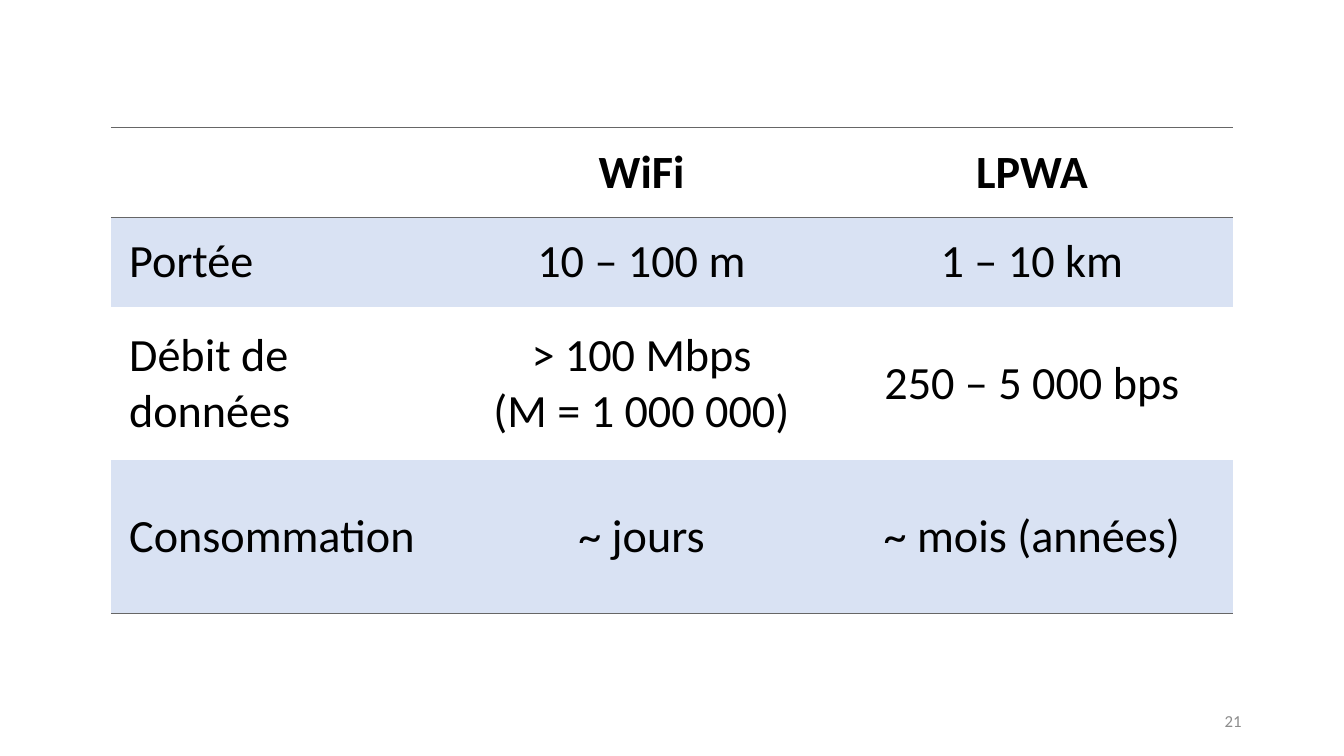
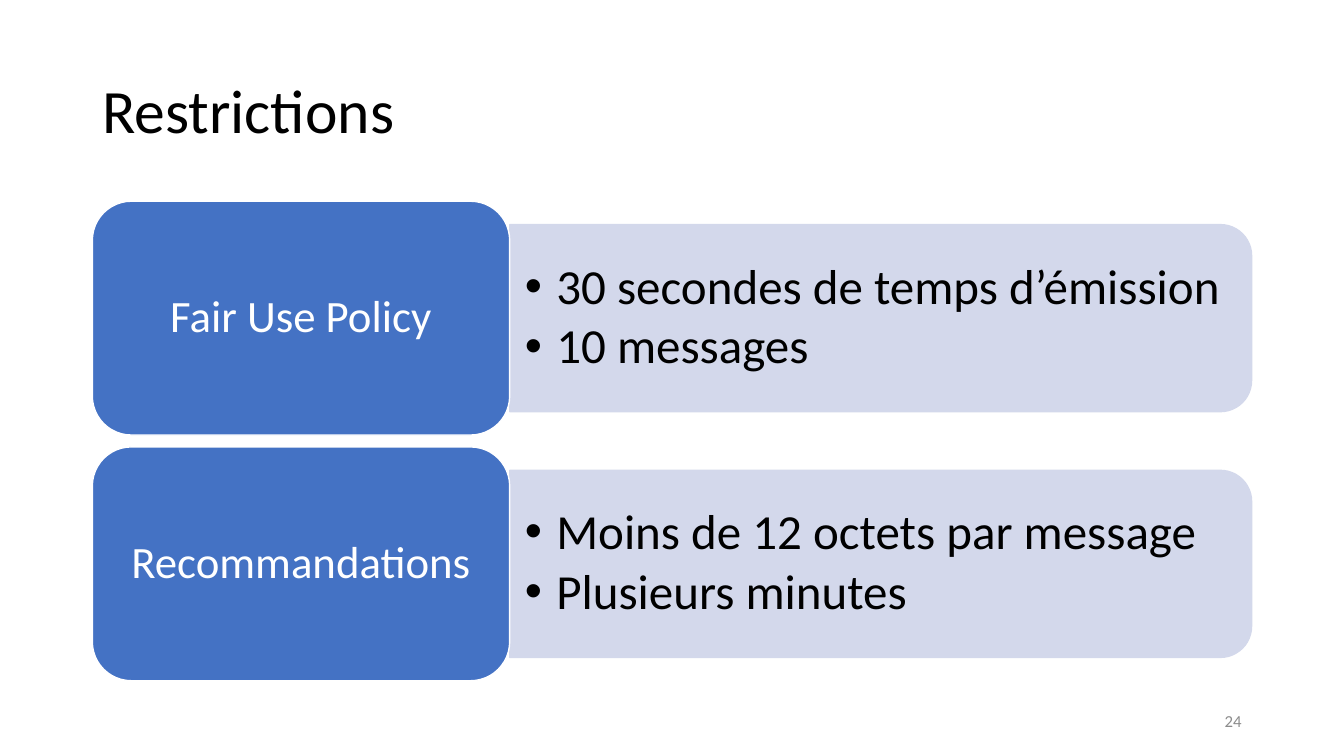
from lxml.etree import SubElement
from pptx import Presentation
from pptx.dml.color import RGBColor
from pptx.enum.shapes import MSO_SHAPE as Shape
from pptx.enum.text import MSO_ANCHOR as Anchor, PP_ALIGN as Align
from pptx.oxml.ns import qn
from pptx.util import Pt

FONT = "Calibri"
BLACK, WHITE, GREY = "000000", "FFFFFF", "8C8C8C"
BLUE, PALE, BAND, RULE = "4472C4", "D3D8EB", "D9E2F3", "666666"
NO_STYLE = "{2D5ABB26-0587-4C30-8999-92F81FD0307C}"

COMPARISON = [
    ["", "WiFi", "LPWA"],
    ["Portée", "10 – 100 m", "1 – 10 km"],
    ["Débit de données", "> 100 Mbps\n(M = 1 000 000)", "250 – 5 000 bps"],
    ["Consommation", "~ jours", "~ mois (années)"],
]
RESTRICTIONS = [
    ("Fair Use Policy", ["30 secondes de temps d’émission", "10 messages"]),
    ("Recommandations", ["Moins de 12 octets par message", "Plusieurs minutes"]),
]


def rgb(code):
    """Turn a hex string into a colour."""
    return RGBColor.from_string(code)


def box(x, y, w, h):
    """Give a box, in points, as lengths."""
    return Pt(x), Pt(y), Pt(w), Pt(h)


def write(tf, lines, size, color=BLACK, bold=False, align=Align.LEFT,
          spacing=1, after=0, bullet_indent=0):
    """Fill a text frame with formatted paragraphs."""
    for i, line in enumerate(lines):
        p = tf.add_paragraph() if i else tf.paragraphs[0]
        p.text = line
        if bullet_indent:
            pPr = p._p.get_or_add_pPr()
            pPr.set("marL", str(Pt(bullet_indent)))
            pPr.set("indent", str(-Pt(bullet_indent)))
            SubElement(pPr, qn("a:buFont"), typeface="Arial")
            SubElement(pPr, qn("a:buChar"), char="•")
        p.alignment, p.line_spacing = align, spacing
        p.space_before, p.space_after = Pt(0), Pt(after)
        for r in p.runs:
            r.font.name, r.font.size, r.font.bold = FONT, Pt(size), bold
            r.font.color.rgb = rgb(color)


def set_frame(tf, inset_x, inset_y):
    """Wrap a text frame, centre it vertically and set its insets."""
    tf.word_wrap, tf.vertical_anchor = True, Anchor.MIDDLE
    tf.margin_left = tf.margin_right = Pt(inset_x)
    tf.margin_top = tf.margin_bottom = Pt(inset_y)


def add_text(s, x, y, w, h, lines, inset_x=7.2, inset_y=3.6, **fmt):
    """Add a text box."""
    tf = s.shapes.add_textbox(*box(x, y, w, h)).text_frame
    set_frame(tf, inset_x, inset_y)
    write(tf, lines, **fmt)


def add_block(s, kind, x, y, w, h, fill, line):
    """Add a flat filled shape."""
    sp = s.shapes.add_shape(kind, *box(x, y, w, h))
    sp.shadow.inherit = False
    sp.fill.solid()
    sp.fill.fore_color.rgb = rgb(fill)
    sp.line.color.rgb, sp.line.width = rgb(line), Pt(1)
    return sp


def add_number(s, number):
    """Add the slide number at the lower right."""
    add_text(s, 678, 500.5, 216, 28.75, [number], size=12, color=GREY, align=Align.RIGHT)


def add_title(s, text):
    """Place and fill the title placeholder."""
    sp = s.shapes.title
    sp.left, sp.top, sp.width, sp.height = box(66, 28.75, 828, 104.5)
    set_frame(sp.text_frame, 7.2, 3.6)
    write(sp.text_frame, [text], size=44, spacing=0.9)


def add_rule(cell, side):
    """Draw a rule along one side of a cell."""
    ln = SubElement(cell._tc.get_or_add_tcPr(), qn("a:" + side), w=str(Pt(0.75)))
    SubElement(SubElement(ln, qn("a:solidFill")), qn("a:srgbClr"), val=RULE)


def add_comparison(s, x, y, widths, heights, rows):
    """Add a ruled table with alternate shaded rows."""
    frame = s.shapes.add_table(len(rows), len(widths),
                               *box(x, y, sum(widths), sum(heights)))
    table = frame.table
    table.first_row = table.horz_banding = False
    table._tbl.tblPr.find(qn("a:tableStyleId")).text = NO_STYLE
    for column, w in zip(table.columns, widths):
        column.width = Pt(w)
    for i, (row, h) in enumerate(zip(rows, heights)):
        table.rows[i].height = Pt(h)
        for j, text in enumerate(row):
            cell = table.cell(i, j)
            cell.vertical_anchor = Anchor.MIDDLE
            cell.margin_left = cell.margin_right = Pt(13)
            cell.margin_top = cell.margin_bottom = Pt(6.5)
            write(cell.text_frame, [text], size=33, bold=i == 0,
                  align=Align.CENTER if j else Align.LEFT)
            if i == 0:
                add_rule(cell, "lnT")
            if i in (0, len(rows) - 1):
                add_rule(cell, "lnB")
            if i % 2:
                cell.fill.solid()
                cell.fill.fore_color.rgb = rgb(BAND)
            else:
                cell.fill.background()


def add_group(s, x, y, w, h, label, points):
    """Add a label block with its bulleted bar to the right."""
    label_w, bar_h = w * 0.36, h * 0.8
    bar_x, bar_w = x + label_w, w - label_w
    bar = add_block(s, Shape.ROUND_2_SAME_RECTANGLE, bar_x + (bar_w - bar_h) / 2,
                    y + (h - bar_w) / 2, bar_h, bar_w, PALE, PALE)
    bar.rotation = 90
    add_text(s, bar_x, y + (h - bar_h) / 2, bar_w - 6.5, bar_h, points, 10.8, 5.4,
             size=35, spacing=0.9, after=5, bullet_indent=22.5)
    sp = add_block(s, Shape.ROUNDED_RECTANGLE, x, y, label_w, h, BLUE, WHITE)
    set_frame(sp.text_frame, 17, 13)
    write(sp.text_frame, [label], size=32, color=WHITE, align=Align.CENTER, spacing=0.9)


def comparison_slide(prs):
    """Build the slide that compares two radio networks."""
    s = prs.slides.add_slide(prs.slide_layouts[6])
    add_comparison(s, 79.25, 91.25, [243.5, 271, 286.75], [64, 64, 109.5, 109.5], COMPARISON)
    add_number(s, "21")


def restrictions_slide(prs):
    """Build the slide on restrictions."""
    s = prs.slides.add_slide(prs.slide_layouts[5])
    add_title(s, "Restrictions")
    for i, (label, points) in enumerate(RESTRICTIONS):
        add_group(s, 66, 143.75 + i * 175.5, 828, 167, label, points)
    add_number(s, "24")


def main():
    """Build and save the presentation."""
    prs = Presentation()
    prs.slide_width, prs.slide_height = Pt(960), Pt(540)
    comparison_slide(prs)
    restrictions_slide(prs)
    prs.save("out.pptx")


if __name__ == "__main__":
    main()
